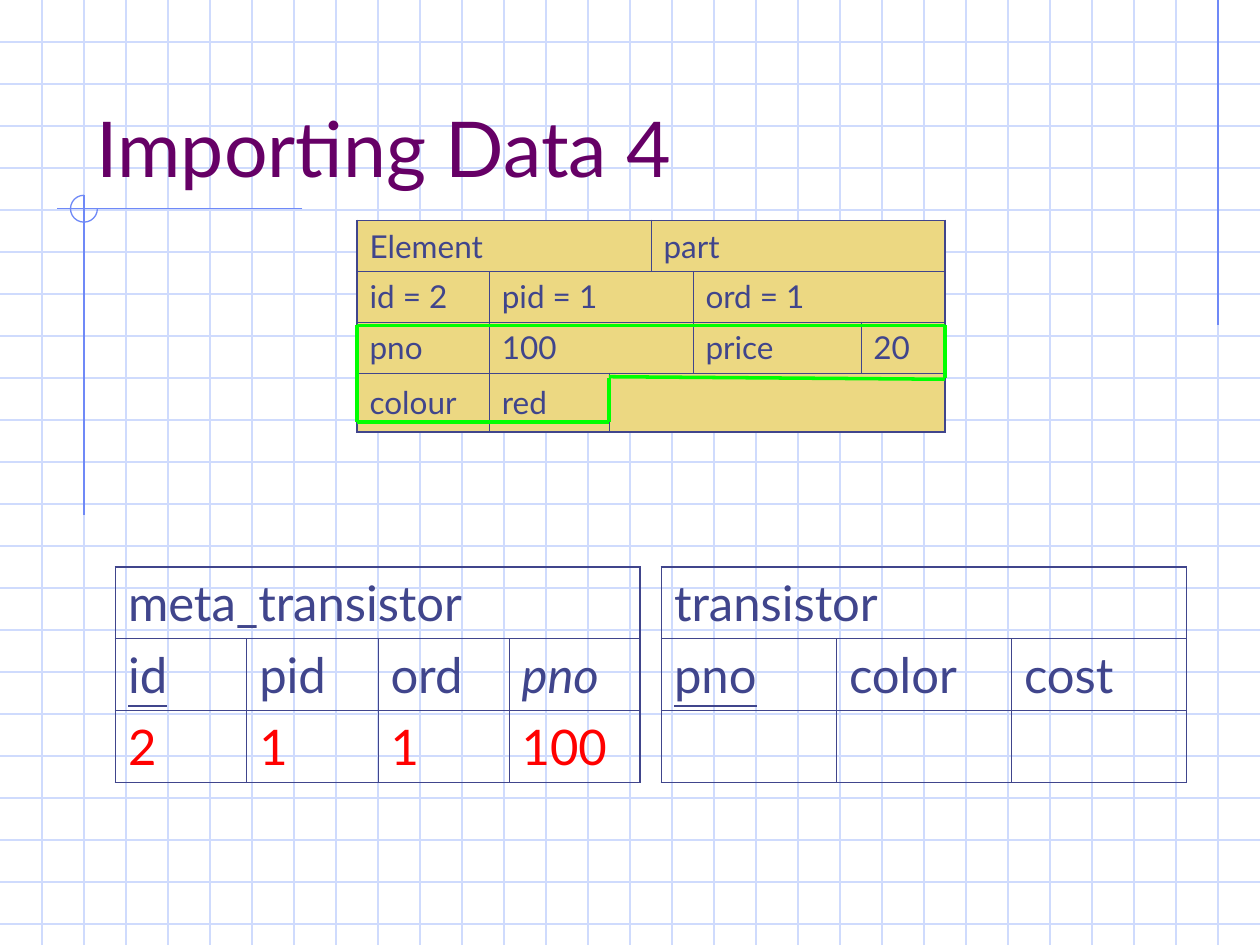
import pptx
import pptx.dml.color
import pptx.enum.shapes
import pptx.enum.text
import pptx.oxml
import pptx.util
from pptx.oxml import ns

SQUARE = 1 / 3  # inches; every length below counts squares of the paper
COLS, ROWS = 30, 22.5
FONT = "Lato"
INK, RED, GREEN = "40458C", "FF0000", "00FF00"
PALE, BLUE, GOLD, PURPLE = "CFDBFD", "6F89F7", "ECD882", "660066"
NO_STYLE = "{2D5ABB26-0587-4C30-8999-92F81FD0307C}"


def sq(n):
    return pptx.util.Inches(n * SQUARE)


def rgb(color):
    return pptx.dml.color.RGBColor.from_string(color)


def style_run(r, size, color, italic=False, underline=False):
    r.font.name = FONT
    r.font.size = pptx.util.Pt(size)
    r.font.color.rgb = rgb(color)
    if italic:
        r.font.italic = True
    if underline:
        r.font.underline = True


def add_line(shapes, x1, y1, x2, y2, color, width=0.75):
    line = shapes.add_connector(pptx.enum.shapes.MSO_CONNECTOR.STRAIGHT,
                                sq(x1), sq(y1), sq(x2), sq(y2))
    line.line.color.rgb = rgb(color)
    line.line.width = pptx.util.Pt(width)
    line.element.spPr.append(pptx.oxml.parse_xml(
        f"<a:effectLst {ns.nsdecls('a')}/>"))


def add_paper(s):
    """Draw the squared paper with its margin lines and corner arc."""
    shapes = s.shapes.add_group_shape().shapes
    for y in range(1, int(ROWS) + 1):
        add_line(shapes, 0, y, COLS, y, PALE)
    for x in range(1, COLS):
        add_line(shapes, x, 0, x, ROWS, PALE)
    add_line(shapes, 29, 0, 29, 7.75, BLUE)
    add_line(shapes, 7.2, 4.97, 1.35, 4.97, BLUE)
    add_line(shapes, 2, 4.65, 2, 12.27, BLUE)
    arc = shapes.add_shape(pptx.enum.shapes.MSO_SHAPE.ARC,
                           sq(1.68), sq(4.65), sq(0.64), sq(0.64))
    arc.adjustments[0], arc.adjustments[1] = 0, 162  # right, round to top
    arc.shadow.inherit = False
    arc.fill.background()
    arc.line.color.rgb = rgb(BLUE)
    arc.line.width = pptx.util.Pt(0.75)


def add_title(s, text):
    title = s.shapes.title
    title.element.getparent().append(title.element)  # in front of the paper
    title.left, title.top, title.width, title.height = map(
        sq, (2, 1, 25.5, 3.75))
    tf = title.text_frame
    tf.text = text
    tf.auto_size = pptx.enum.text.MSO_AUTO_SIZE.NONE
    tf.vertical_anchor = pptx.enum.text.MSO_ANCHOR.BOTTOM
    p = tf.paragraphs[0]
    p.alignment = pptx.enum.text.PP_ALIGN.LEFT
    style_run(p.runs[0], 44, PURPLE)


def set_border(cell, side, outer):
    width = pptx.util.Pt(1.08 if outer else 0.45)
    cell._tc.get_or_add_tcPr().append(pptx.oxml.parse_xml(
        f'<a:ln{side} {ns.nsdecls("a")} w="{width}"><a:solidFill>'
        f'<a:srgbClr val="{INK}"/></a:solidFill></a:ln{side}>'))


def set_cell(table, row, col, span, text, size, fill, look):
    last_row, last_col = len(table.rows) - 1, len(table.columns) - 1
    end = col + span - 1
    cell = table.cell(row, col)
    if span > 1:
        cell.merge(table.cell(row, end))
    for c in range(col, end + 1):
        part = table.cell(row, c)
        if c == col:
            set_border(part, "L", col == 0)
        if c in (col, end):
            set_border(part, "R", end == last_col)
        set_border(part, "T", row == 0)
        set_border(part, "B", row == last_row)
        if fill:
            part.fill.solid()
            part.fill.fore_color.rgb = rgb(fill)
        else:
            part.fill.background()
    cell.vertical_anchor = pptx.enum.text.MSO_ANCHOR.MIDDLE
    if text:
        cell.text_frame.text = text
        style_run(cell.text_frame.paragraphs[0].runs[0], size, **look)


def add_grid(s, x, y, widths, heights, rows, size, fill=None):
    """Add a table; each entry of a row is (text, column span, look)."""
    frame = s.shapes.add_table(len(heights), len(widths), sq(x), sq(y),
                               sq(sum(widths)), sq(sum(heights)))
    table = frame.table
    table._tbl.tblPr.find(ns.qn("a:tableStyleId")).text = NO_STYLE
    table.first_row = table.horz_banding = False
    for column, width in zip(table.columns, widths):
        column.width = sq(width)
    for table_row, height in zip(table.rows, heights):
        table_row.height = sq(height)
    for i, row in enumerate(rows):
        col = 0
        for text, span, look in row:
            set_cell(table, i, col, span, text, size, fill,
                     {"color": INK, **look})
            col += span


def plain(*entries):
    return [(text, span, {}) for text, span in entries]


def add_highlight(s):
    """Outline the attribute cells of the element table."""
    left, notch, right = 8.5, 14.5, 22.5
    top, step, bottom = 7.75, 9, 10.05
    shapes = s.shapes.add_group_shape().shapes
    for ends in [(notch, bottom, left, bottom), (left, top, right, top),
                 (left, top, left, bottom), (notch, bottom, notch, step),
                 (right, step, right, top),
                 (notch, step - 0.03, right, step + 0.03)]:
        add_line(shapes, *ends, GREEN, 2)


def main():
    prs = pptx.Presentation()
    prs.slide_width, prs.slide_height = sq(COLS), sq(ROWS)
    s = prs.slides.add_slide(prs.slide_layouts.get_by_name("Title Only"))
    add_paper(s)
    add_title(s, "Importing Data 4")

    add_grid(s, 8.5, 5.25, [3.15, 2.85, 1, 1, 4, 2], [1.21] * 3 + [1.4], [
        plain(("Element", 3), ("part", 3)),
        plain(("id = 2", 1), ("pid = 1", 3), ("ord = 1", 2)),
        plain(("pno", 1), ("100", 3), ("price", 1), ("20", 1)),
        plain(("colour", 1), ("red", 1), ("", 4)),
    ], 18, GOLD)

    key, foreign = {"underline": True}, {"italic": True}
    heights = [1.71] * 3
    add_grid(s, 2.75, 13.5, [12.5 / 4] * 4, heights, [
        plain(("meta_transistor", 4)),
        [("id", 1, key), ("pid", 1, {}), ("ord", 1, {}), ("pno", 1, foreign)],
        [(value, 1, {"color": RED}) for value in ("2", "1", "1", "100")],
    ], 28)
    add_grid(s, 15.75, 13.5, [12.5 / 3] * 3, heights, [
        plain(("transistor", 3)),
        [("pno", 1, key), ("color", 1, {}), ("cost", 1, {})],
        plain(*[("", 1)] * 3),
    ], 28)
    add_highlight(s)
    prs.save("out.pptx")


if __name__ == "__main__":
    main()
